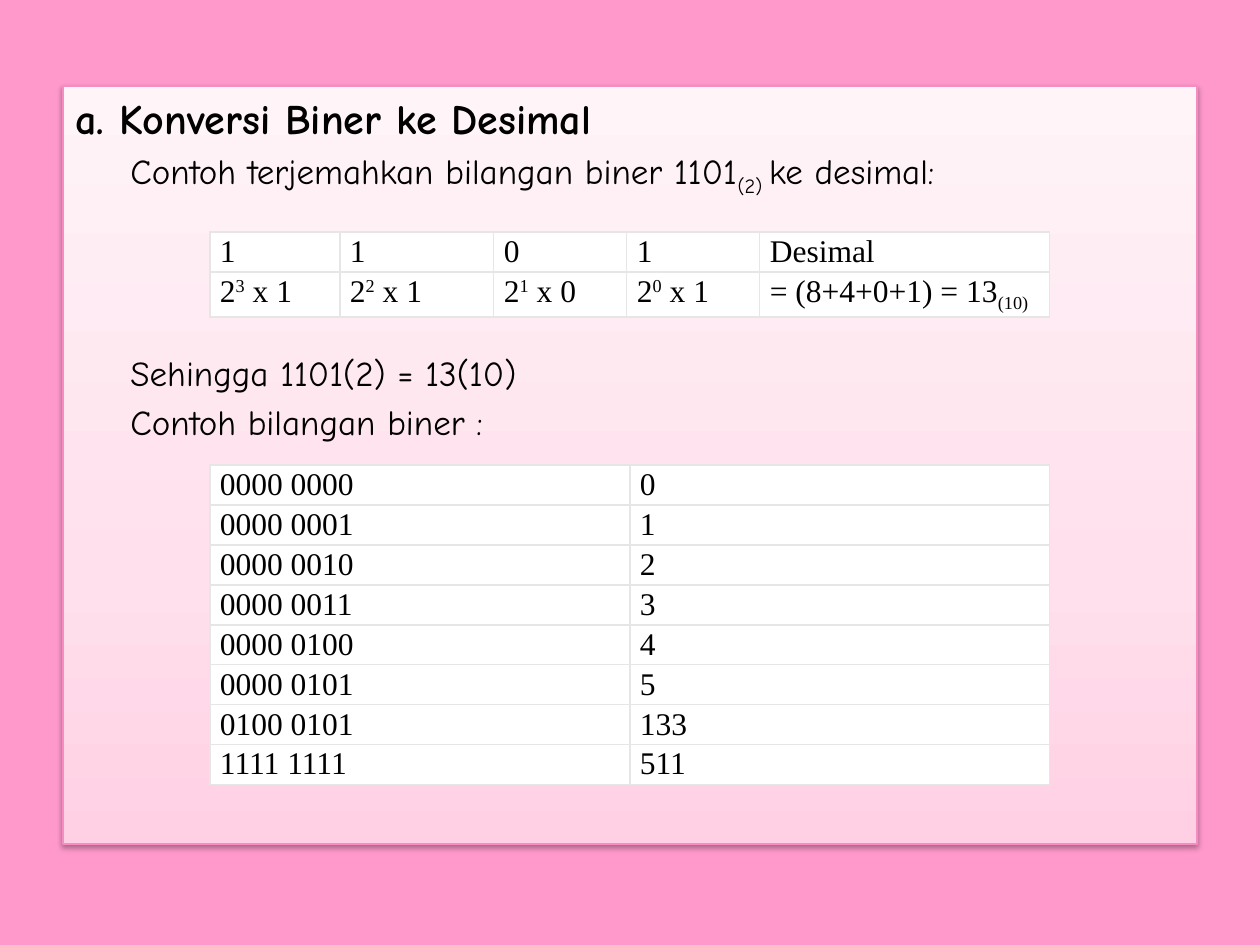
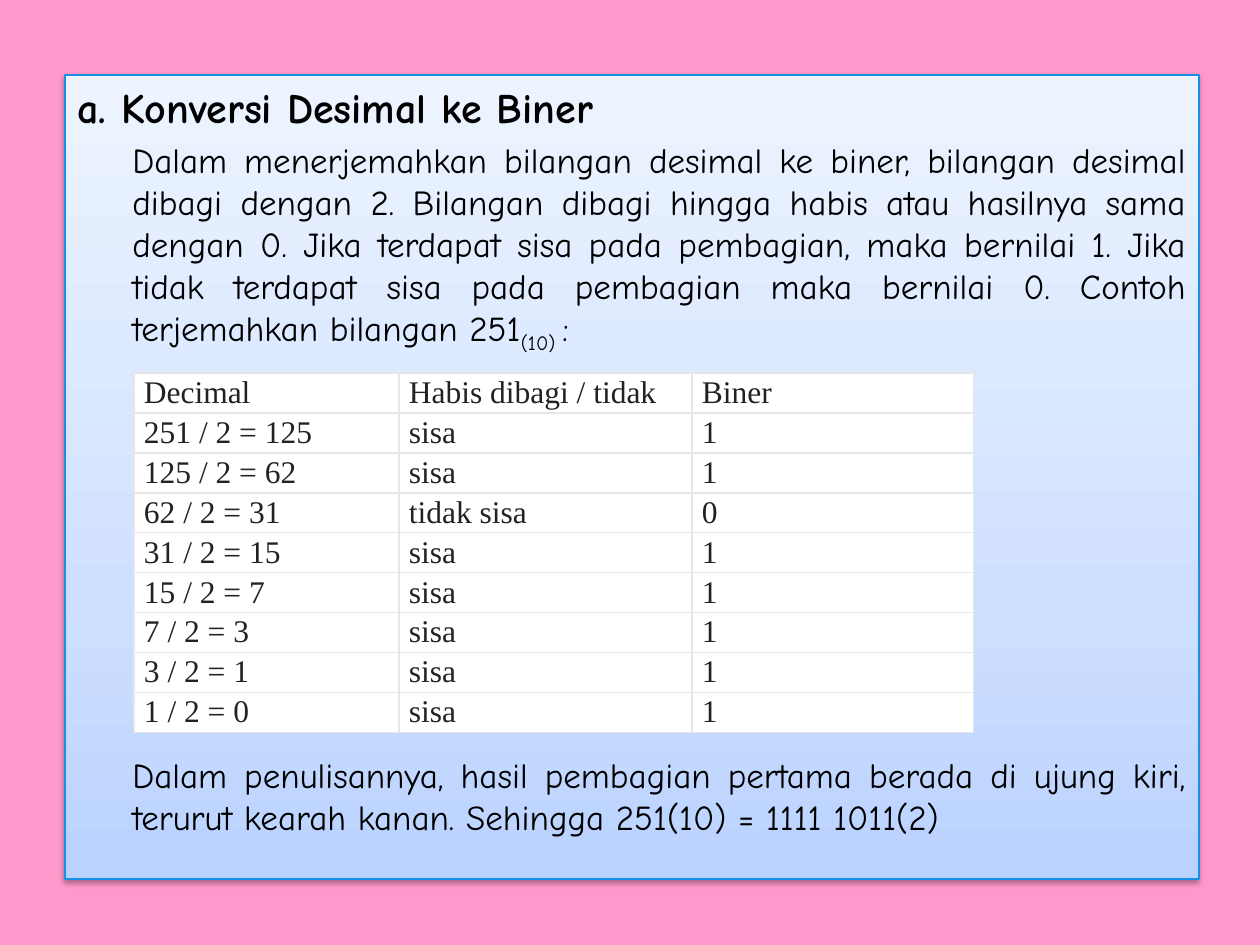
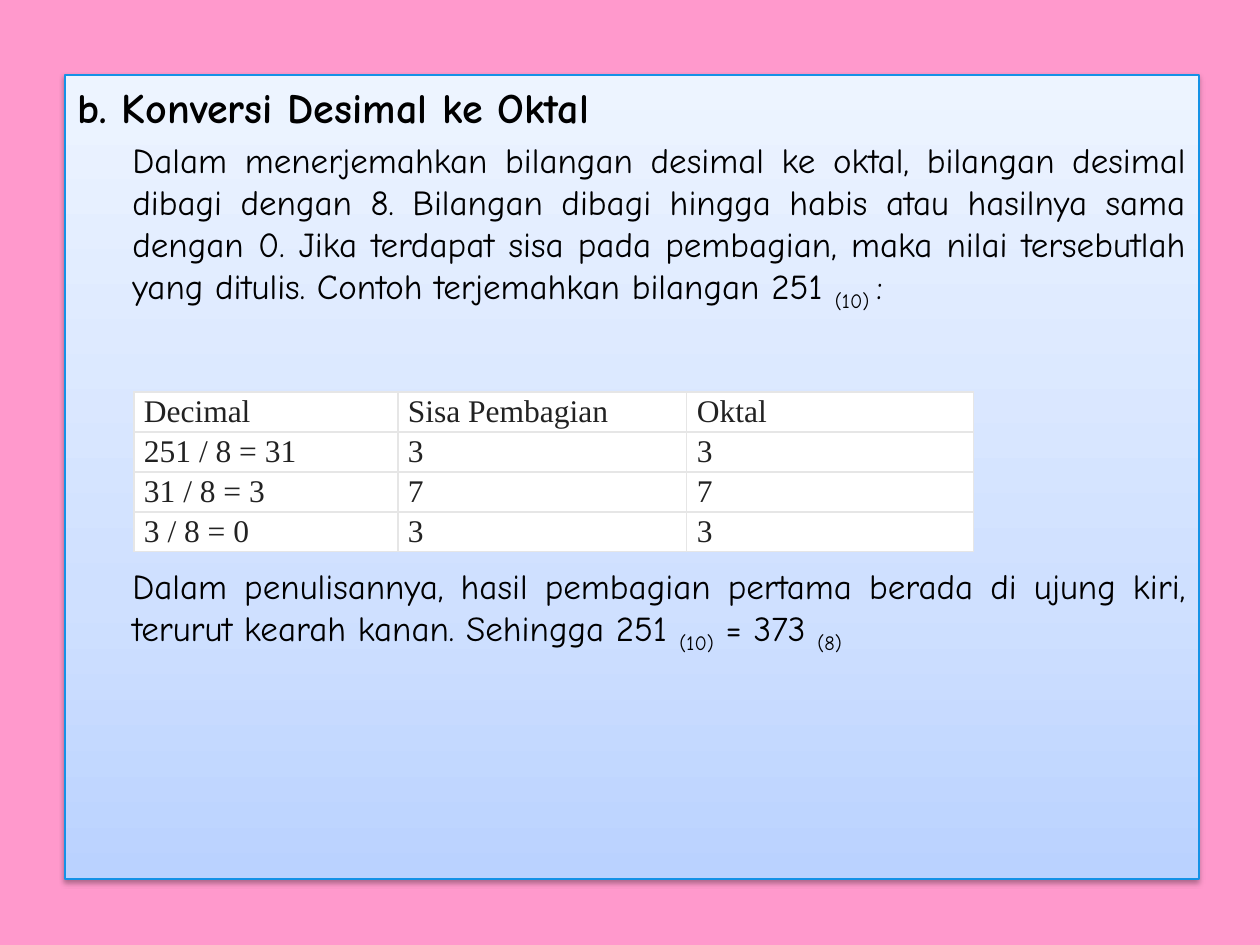
"""Builds three slides on converting between binary, decimal and octal numbers."""
from copy import deepcopy

from lxml import etree
from pptx import Presentation
from pptx.dml.color import RGBColor
from pptx.enum.shapes import MSO_SHAPE
from pptx.enum.text import MSO_ANCHOR, PP_ALIGN
from pptx.oxml import parse_xml
from pptx.oxml.ns import nsdecls, qn
from pptx.util import Pt

PX = 914400 / 126
RECT = MSO_SHAPE.RECTANGLE
TOP = MSO_ANCHOR.TOP
LEFT, JUSTIFY = PP_ALIGN.LEFT, PP_ALIGN.JUSTIFY
SUB, SUPER = -25, 30
BODY_FONT, TABLE_FONT = "Comic Neue", "Times New Roman"
COLORS = {
    "background": "FF99CC", "black": "000000", "dark": "222222",
    "cell": "FFFFFF", "border": "E6E6E6",
}
PANELS = {
    "pink": {"box": (63, 86, 1134, 758), "line": "F78CC2",
             "stops": ("FFF4F8", "FFE0EC", "FFD0E4")},
    "blue": {"box": (65, 75, 1134, 804), "line": "1592E6",
             "stops": ("EDF4FF", "CFE0FF", "BAD2FF")},
}
SHADOW = (
    f'<a:outerShdw {nsdecls("a")} blurRad="40000" dist="23000" dir="5400000" rotWithShape="0">'
    '<a:srgbClr val="000000"><a:alpha val="35000"/></a:srgbClr></a:outerShdw>'
)
CLOSING = ("Dalam penulisannya, hasil pembagian pertama berada di ujung kiri, "
           "terurut kearah kanan. Sehingga ")

SLIDES = [
    {
        "panel": "pink", "align": LEFT, "ink": "black",
        "title": "a. Konversi Biner ke Desimal",
        "body": [
            ("Contoh terjemahkan bilangan biner 1101|(2) |ke desimal:", 4),
            ("Sehingga 1101(2) = 13(10)", 88),
            ("Contoh bilangan biner :", 4),
        ],
        "tables": [
            {"at": (210, 465), "cols": (420, 420), "heights": [40] * 8, "rows": [
                ("0000 0000", "0"), ("0000 0001", "1"), ("0000 0010", "2"),
                ("0000 0011", "3"), ("0000 0100", "4"), ("0000 0101", "5"),
                ("0100 0101", "133"), ("1111 1111", "511"),
            ]},
            {"at": (210, 232), "cols": (130, 154, 133, 133, 290), "heights": [40, 45], "rows": [
                ("1", "1", "0", "1", "Desimal"),
                ("2|3| x 1", "2|2| x 1", "2|1| x 0", "2|0| x 1", "= (8+4+0+1) = 13|(10)"),
            ]},
        ],
    },
    {
        "panel": "blue", "align": JUSTIFY, "ink": "dark",
        "title": "a. Konversi Desimal ke Biner",
        "body": [
            ("Dalam menerjemahkan bilangan desimal ke biner, bilangan desimal dibagi dengan 2. "
             "Bilangan dibagi hingga habis atau hasilnya sama dengan 0. Jika terdapat sisa pada "
             "pembagian, maka bernilai 1. Jika tidak terdapat sisa pada pembagian maka bernilai 0. "
             "Contoh terjemahkan bilangan 251|(10) |:", 4),
            (CLOSING + "251(10) = 1111 1011(2)", 228),
        ],
        "tables": [
            {"at": (134, 373), "cols": (265, 293, 282), "heights": [40] * 9, "rows": [
                ("Decimal", "Habis dibagi / tidak", "Biner"),
                ("251 / 2 = 125", "sisa", "1"), ("125 / 2 = 62", "sisa", "1"),
                ("62 / 2 = 31", "tidak sisa", "0"), ("31 / 2 = 15", "sisa", "1"),
                ("15 / 2 = 7", "sisa", "1"), ("7 / 2 = 3", "sisa", "1"),
                ("3 / 2 = 1", "sisa", "1"), ("1 / 2 = 0", "sisa", "1"),
            ]},
        ],
    },
    {
        "panel": "blue", "align": JUSTIFY, "ink": "dark",
        "title": "b. Konversi Desimal ke Oktal",
        "body": [
            ("Dalam menerjemahkan bilangan desimal ke oktal, bilangan desimal dibagi dengan 8. "
             "Bilangan dibagi hingga habis atau hasilnya sama dengan 0. Jika terdapat sisa pada "
             "pembagian, maka nilai tersebutlah yang ditulis. "
             "Contoh terjemahkan bilangan 251 |(10) |:", 4),
            (CLOSING + "251 |(10)| = 373 |(8)", 144),
        ],
        "tables": [
            {"at": (134, 392), "cols": (264, 289, 287), "heights": [40] * 4, "rows": [
                ("Decimal", "Sisa Pembagian", "Oktal"),
                ("251 / 8 = 31", "3", "3"), ("31 / 8 = 3", "7", "7"), ("3 / 8 = 0", "3", "3"),
            ]},
        ],
    },
]


def px(n):
    """Turns pixels into EMU."""
    return round(n * PX)


def add_text(p, text, size=20, font=BODY_FONT, color="black", bold=False,
             align=LEFT, before=0, indent=0, shift=SUB):
    """Fills a paragraph; every second part between bars is shifted off the baseline."""
    p.alignment = align
    p.space_before = Pt(before)
    pPr = p._p.get_or_add_pPr()
    pPr.set("marL", str(px(indent)))
    pPr.set("indent", "0")
    for i, part in enumerate(text.split("|")):
        r = p.add_run()
        r.text = part
        r.font.size, r.font.name, r.font.bold = Pt(size), font, bold
        r.font.color.rgb = RGBColor.from_string(COLORS[color])
        if i % 2:
            r._r.get_or_add_rPr().set("baseline", str(shift * 1000))


prs = Presentation()
prs.slide_width, prs.slide_height = px(1260), px(945)

for page in SLIDES:
    s = prs.slides.add_slide(prs.slide_layouts[6])
    s.background.fill.solid()
    s.background.fill.fore_color.rgb = RGBColor.from_string(COLORS["background"])

    panel = PANELS[page["panel"]]
    sp = s.shapes.add_shape(RECT, *map(px, panel["box"]))
    sp.fill.gradient()
    sp.fill.gradient_angle = 270
    gs = sp._element.spPr.find(".//" + qn("a:gs"))
    gs.addnext(deepcopy(gs))
    for stop, color, place in zip(sp.fill.gradient_stops, panel["stops"], (0, 0.65, 1)):
        stop.color.rgb = RGBColor.from_string(color)
        stop.position = place
    sp.line.color.rgb = RGBColor.from_string(panel["line"])
    sp.line.width = Pt(0.75)
    sp.shadow.inherit = False
    sp._element.spPr.find(qn("a:effectLst")).append(parse_xml(SHADOW))

    tf = sp.text_frame
    tf.word_wrap = True
    tf.vertical_anchor = TOP
    add_text(tf.paragraphs[0], page["title"], size=24, bold=True, align=page["align"])
    for text, before in page["body"]:
        add_text(tf.add_paragraph(), text, before=before, indent=55, align=page["align"])

    for item in page["tables"]:
        rows, cols, heights = item["rows"], item["cols"], item["heights"]
        x, y = item["at"]
        table = s.shapes.add_table(len(rows), len(cols), px(x), px(y),
                                   px(sum(cols)), px(sum(heights))).table
        table.first_row = table.horz_banding = False
        for column, width in zip(table.columns, cols):
            column.width = px(width)
        for row, height, texts in zip(table.rows, heights, rows):
            row.height = px(height)
            for cell, text in zip(row.cells, texts):
                cell.margin_left = cell.margin_right = px(10)
                cell.margin_top = cell.margin_bottom = px(2)
                tcPr = cell._tc.get_or_add_tcPr()
                for side in ("a:lnL", "a:lnR", "a:lnT", "a:lnB"):
                    ln = etree.SubElement(tcPr, qn(side), w=str(Pt(0.75)))
                    fill = etree.SubElement(ln, qn("a:solidFill"))
                    etree.SubElement(fill, qn("a:srgbClr"), val=COLORS["border"])
                cell.fill.solid()
                cell.fill.fore_color.rgb = RGBColor.from_string(COLORS["cell"])
                add_text(cell.text_frame.paragraphs[0], text, size=18, font=TABLE_FONT,
                         color=page["ink"], align=page["align"],
                         shift=SUPER if text.startswith("2|") else SUB)

prs.save("out.pptx")
